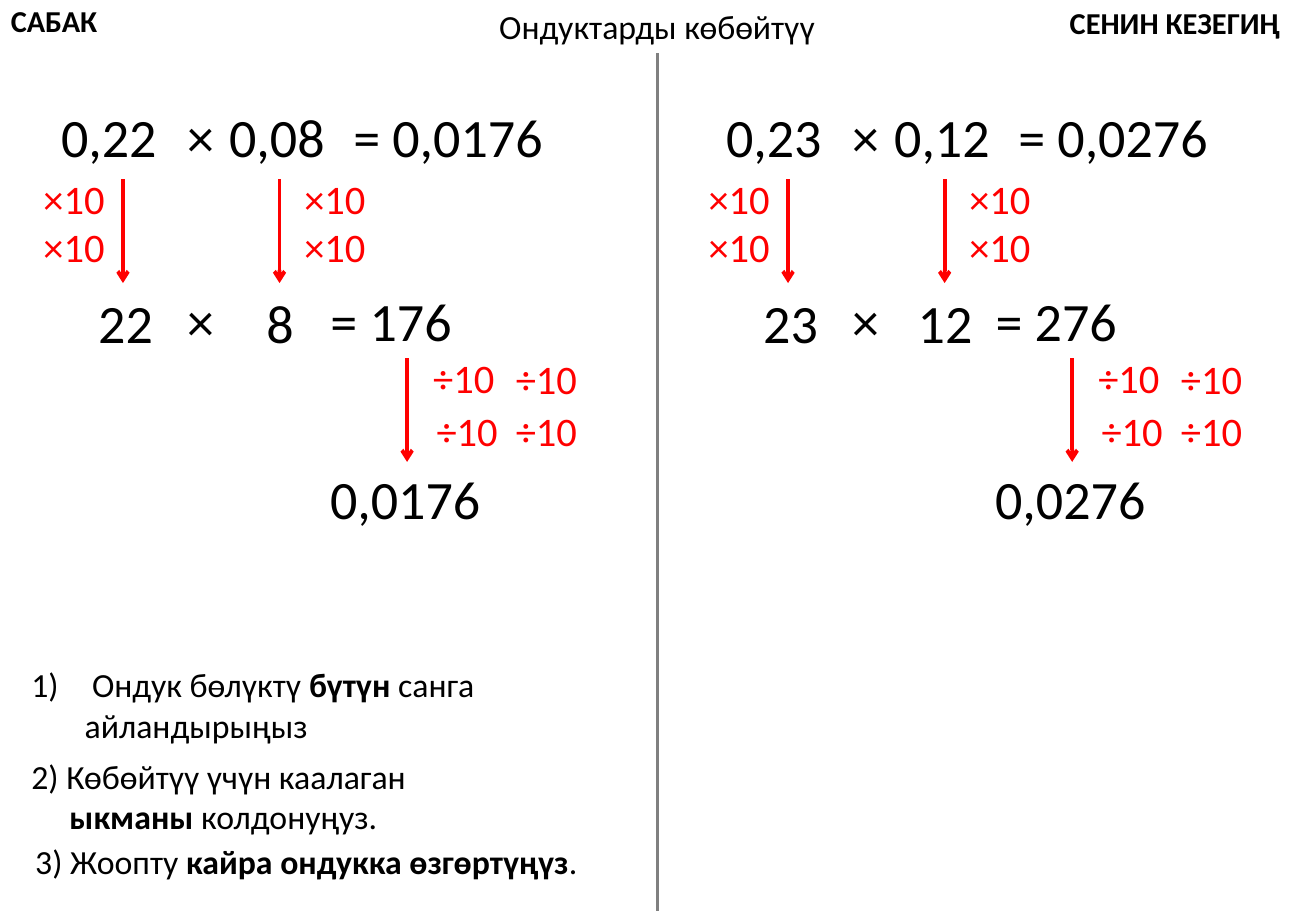
"""Builds a slide on multiplying decimals: a worked example and a matching exercise."""
from lxml import etree
from pptx import Presentation
from pptx.dml.color import RGBColor
from pptx.enum.shapes import MSO_CONNECTOR
from pptx.enum.text import MSO_AUTO_SIZE, PP_ALIGN
from pptx.oxml.ns import qn
from pptx.util import Pt

LEFT, CENTER, RIGHT = PP_ALIGN.LEFT, PP_ALIGN.CENTER, PP_ALIGN.RIGHT
STRAIGHT = MSO_CONNECTOR.STRAIGHT
FIT = MSO_AUTO_SIZE.SHAPE_TO_FIT_TEXT
BLACK = RGBColor(0, 0, 0)
RED = RGBColor(255, 0, 0)
GRAY = RGBColor(128, 128, 128)
FONT = "Calibri"
SLIDE_W, SLIDE_H = 780, 540
DIVIDER_X, DIVIDER_TOP = 389.7, 31.7
COLUMN_STEP = 394.2

HEADINGS = [
    ("САБАК", -0.7, -2, 72.7, 29, LEFT, 18, True),
    ("СЕНИН КЕЗЕГИҢ", 627, -1.2, 163.5, 29, LEFT, 18, True),
    ("Ондуктарды көбөйтүү", 288, 0, 203, 31.5, CENTER, 20, False),
]
PROBLEMS = [
    ("0,22", "0,08", "0,0176", "22", "8", "176"),
    ("0,23", "0,12", "0,0276", "23", "12", "276"),
]
SCALE_UP = [(18, 99.4), (18, 128.2), (172.6, 99.4), (172.6, 128.2)]
SCALE_DOWN = [(249, 206), (251, 237), (298, 206.4), (298, 237)]
ARROWS = [(72.9, 106.4), (165.7, 106.4), (241.3, 212.4)]
ARROW_LENGTH = 61.4

STEPS = [
    (11.5, 390.2, 283, 55.4, [
        (36, -36, True, [("Ондук бөлүктү ", False), ("бүтүн", True), (" санга", False)]),
        (31.6, 0, False, [("айландырыңыз", False)]),
    ]),
    (11.5, 444.4, 243.4, 55.4, [
        (0, 0, False, [("2) Көбөйтүү үчүн каалаган", False)]),
        (22.6, 0, False, [("ыкманы", True), (" колдонуңуз.", False)]),
    ]),
    (13.8, 494.8, 338.4, 31.5, [
        (0, 0, False, [("3) Жоопту ", False), ("кайра ондукка өзгөртүңүз", True), (".", False)]),
    ]),
]


def add_box(s, x, y, w, h):
    tf = s.shapes.add_textbox(Pt(x), Pt(y), Pt(w), Pt(h)).text_frame
    tf.word_wrap = False
    tf.auto_size = FIT
    return tf


def style(r, size, color=BLACK, bold=False):
    r.font.name = FONT
    r.font.size = Pt(size)
    r.font.bold = bold
    r.font.color.rgb = color


def add_label(s, text, x, y, w, h, align, size, bold=False, color=BLACK):
    p = add_box(s, x, y, w, h).paragraphs[0]
    p.text = text
    p.alignment = align
    style(p.runs[0], size, color, bold)


def add_line(s, x, top, bottom, color, arrow=False):
    c = s.shapes.add_connector(STRAIGHT, Pt(x), Pt(top), Pt(x), Pt(bottom))
    c.line.color.rgb = color
    c.line.width = Pt(2.25)
    sp_pr = c.line._get_or_add_ln().getparent()
    if arrow:
        etree.SubElement(sp_pr.find(qn("a:ln")), qn("a:tailEnd"), type="arrow")
    etree.SubElement(sp_pr, qn("a:effectLst"))


def add_problem(s, dx, problem):
    first, second, product, whole1, whole2, whole_product = problem
    numbers = [
        (first, 28, 57.6, 72, RIGHT),
        ("×", 103, 57.6, 31, RIGHT),
        (second, 128.2, 57.6, 72, CENTER),
        ("= " + product, 202.3, 57.6, 128.2, LEFT),
        (whole1, 50.7, 167.8, 47.5, CENTER),
        ("×", 103, 167, 31, RIGHT),
        (whole2, 142.5, 167.8, 47, CENTER),
        ("= " + whole_product, 188.8, 167, 87.1, LEFT),
        (product, 187.7, 272.2, 105.1, CENTER),
    ]
    for text, x, y, w, align in numbers:
        add_label(s, text, x + dx, y, w, 46, align, 32)
    for text, places in (("×10", SCALE_UP), ("÷10", SCALE_DOWN)):
        for x, y in places:
            add_label(s, text, x + dx, y, 51.1, 36.4, RIGHT, 24, color=RED)
    for x, y in ARROWS:
        add_line(s, x + dx, y, y + ARROW_LENGTH, RED, arrow=True)


def add_step(s, x, y, w, h, lines):
    tf = add_box(s, x, y, w, h)
    for i, (margin, indent, numbered, pieces) in enumerate(lines):
        p = tf.add_paragraph() if i else tf.paragraphs[0]
        p_pr = p._p.get_or_add_pPr()
        p_pr.set("marL", str(Pt(margin)))
        p_pr.set("indent", str(Pt(indent)))
        if numbered:
            etree.SubElement(p_pr, qn("a:buFont"), typeface="+mj-lt")
            etree.SubElement(p_pr, qn("a:buAutoNum"), type="arabicParenR")
        for text, bold in pieces:
            r = p.add_run()
            r.text = text
            style(r, 20, bold=bold)


def main():
    prs = Presentation()
    prs.slide_width, prs.slide_height = Pt(SLIDE_W), Pt(SLIDE_H)
    s = prs.slides.add_slide(prs.slide_layouts[6])
    add_line(s, DIVIDER_X, DIVIDER_TOP, SLIDE_H, GRAY)
    for heading in HEADINGS:
        add_label(s, *heading)
    for i, problem in enumerate(PROBLEMS):
        add_problem(s, i * COLUMN_STEP, problem)
    for step in STEPS:
        add_step(s, *step)
    prs.save("out.pptx")


if __name__ == "__main__":
    main()
